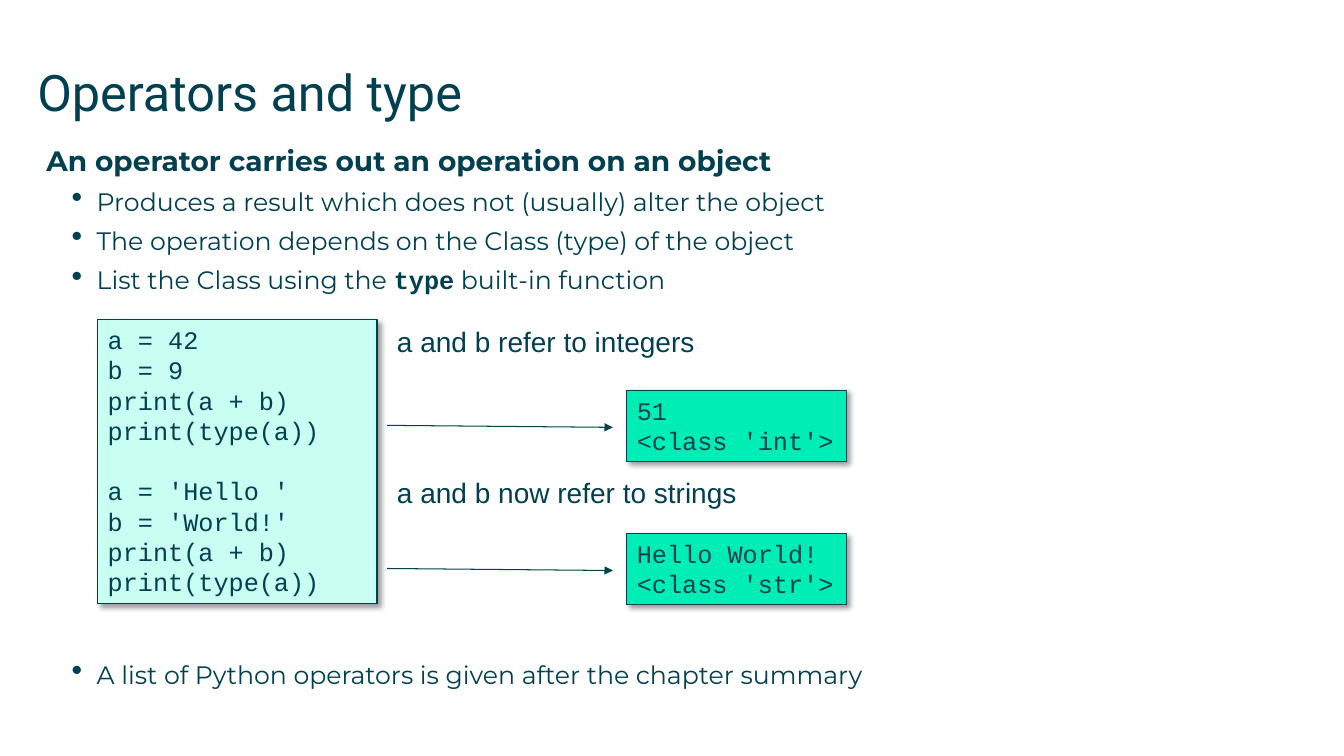
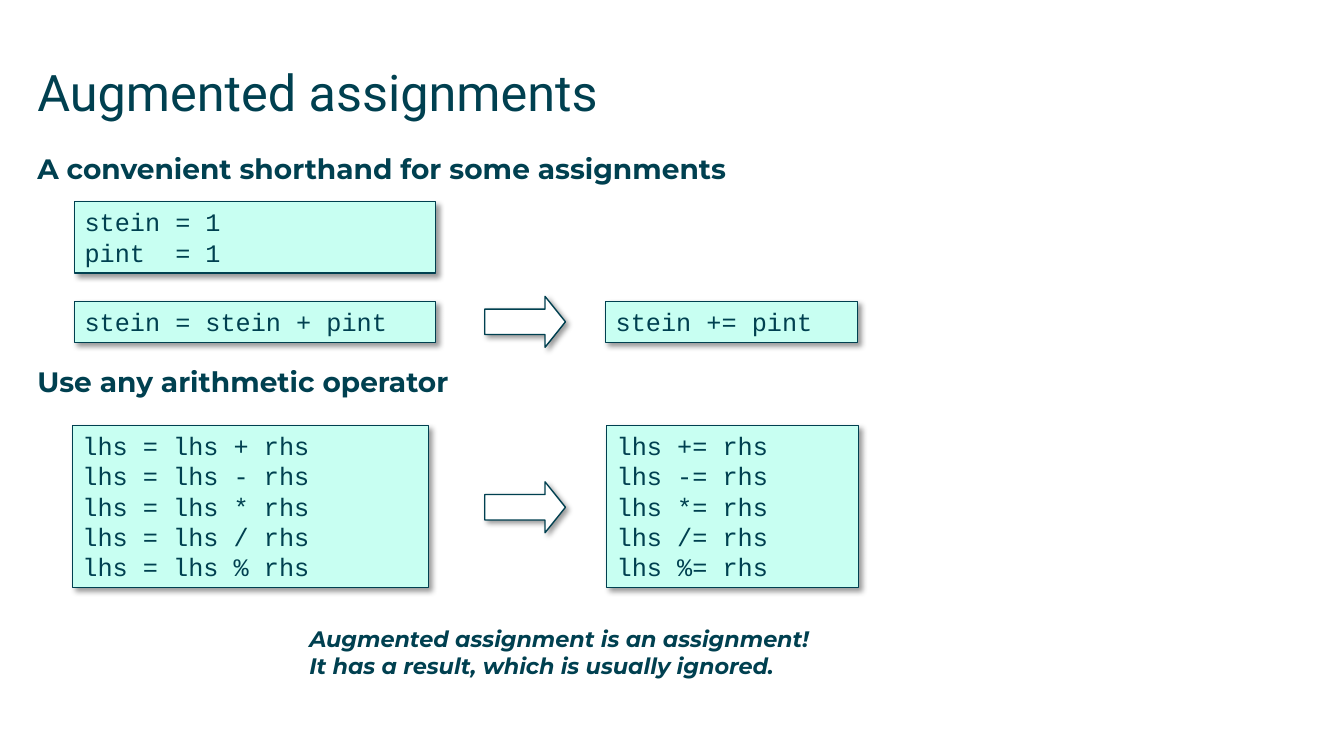
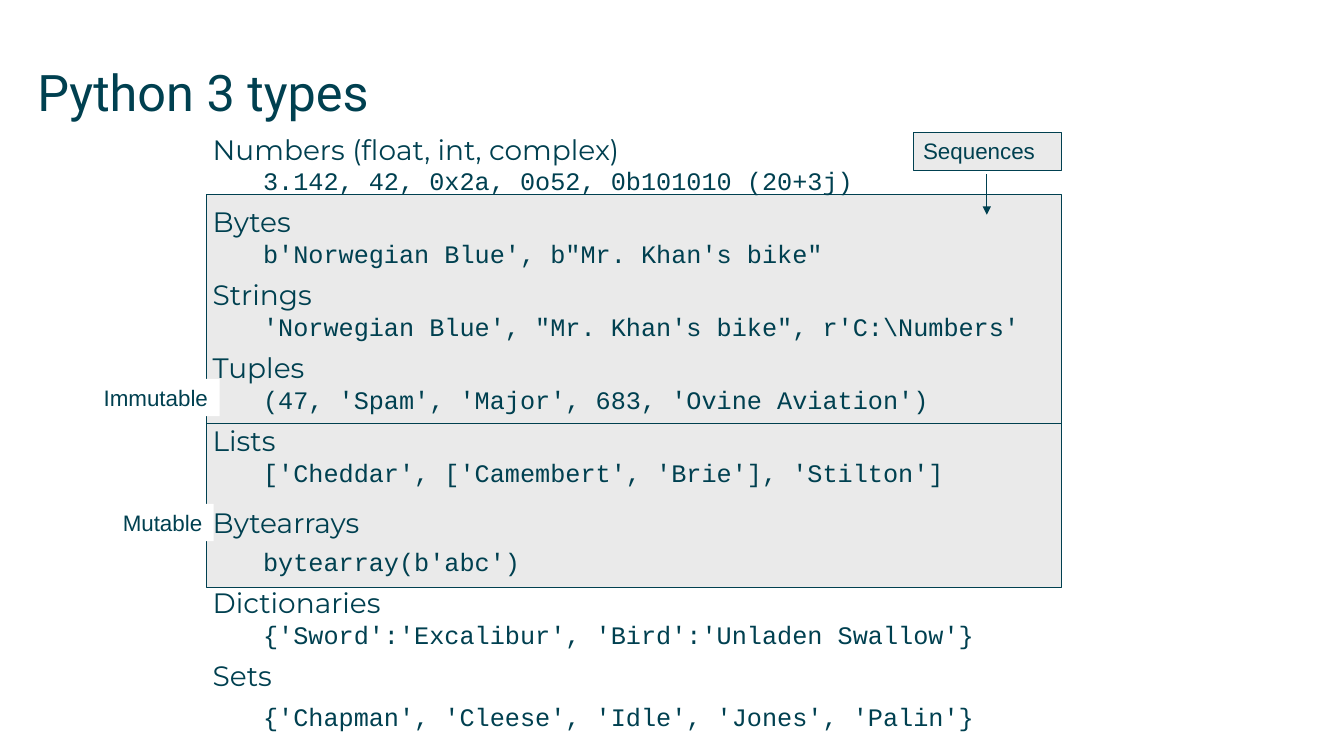
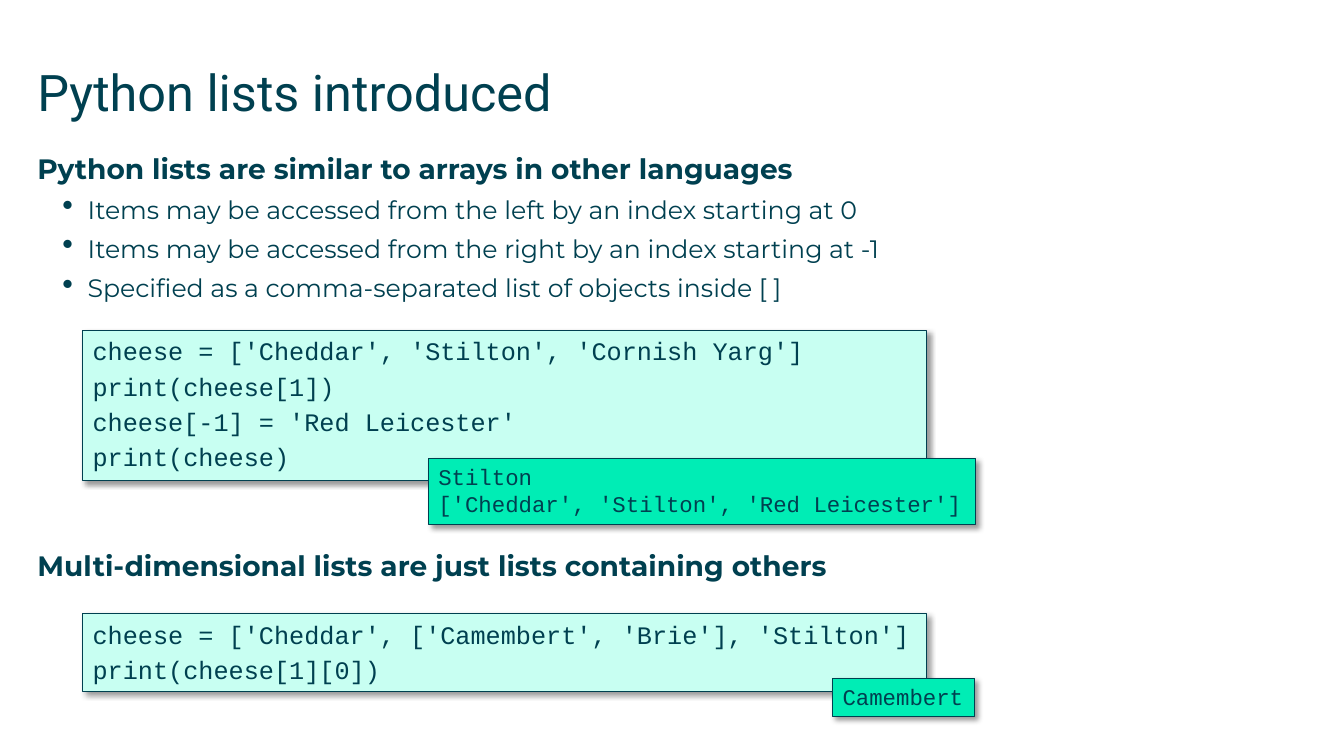
from dataclasses import dataclass
from typing import NamedTuple

from lxml.etree import SubElement as Sub
from pptx import Presentation as Deck
from pptx.dml.color import RGBColor as Rgb
from pptx.enum.shapes import MSO_CONNECTOR as Conn, MSO_SHAPE as Kind
from pptx.enum.text import MSO_ANCHOR as Anchor, PP_ALIGN as Align
from pptx.oxml.ns import qn
from pptx.util import Inches, Pt

HUES = {
    "ink": "004050",
    "code": "C8FFF2",
    "out": "00EDB5",
    "band": "EAEAEA",
    "white": "FFFFFF",
    "shade": "000000",
}
SANS, MONO, HEAD, PLAIN = "Montserrat", "Courier New", "Roboto", "Arial"
COLS, ROWS = 160, 90
TAB = 6
AFTER = 6.5

deck = Deck()
deck.slide_width, deck.slide_height = Inches(13.333), Inches(7.5)


class Box(NamedTuple):
    col: float
    row: float
    wide: float
    high: float


@dataclass
class Line:
    text: str
    size: float = 18
    font: str = SANS
    bold: bool = False
    slant: bool = False
    before: float = 0
    after: float = 0
    left: float = 0
    dot: bool = False


@dataclass
class Block:
    box: Box
    text: str
    fill: str = "code"
    size: float = 18
    font: str = MONO
    gap: float = 0
    edge: float = 0.75
    shade: bool = True


def across(cols: float) -> int:
    return round(deck.slide_width * cols / COLS)


def down(rows: float) -> int:
    return round(deck.slide_height * rows / ROWS)


def place(box: Box) -> tuple[int, int, int, int]:
    return across(box.col), down(box.row), across(box.wide), down(box.high)


def tint(name: str) -> Rgb:
    return Rgb.from_string(HUES[name])


def write(frame, lines: list[Line], pad: bool = True) -> None:
    frame.word_wrap = True
    frame.vertical_anchor = Anchor.TOP
    frame.margin_left = frame.margin_right = Inches(0.1 if pad else 0)
    frame.margin_top = frame.margin_bottom = Inches(0.05 if pad else 0)
    for i, line in enumerate(lines):
        para = frame.paragraphs[0] if i == 0 else frame.add_paragraph()
        para.alignment = Align.LEFT
        para.space_before = Pt(line.before if i else 0)
        para.space_after = Pt(line.after)
        props = para._p.get_or_add_pPr()
        hang = across(TAB / 2) if line.dot else 0
        props.set("marL", str(across(line.left)))
        props.set("indent", str(-hang))
        if line.dot:
            Sub(props, qn("a:buSzPct")).set("val", "125000")
            Sub(props, qn("a:buChar")).set("char", "•")
        for j, part in enumerate(line.text.split("`")):
            run = para.add_run()
            run.text = part
            font = run.font
            font.name = MONO if j % 2 else line.font
            font.size = Pt(line.size)
            font.bold = line.bold or j % 2 == 1
            font.italic = line.slant
            font.color.rgb = tint("ink")


def label(slide, box: Box, text: str, pad: bool = True, **form) -> None:
    lines = [Line(part, **form) for part in text.split("\n")]
    write(slide.shapes.add_textbox(*place(box)).text_frame, lines, pad)


def start(text: str):
    slide = deck.slides.add_slide(deck.slide_layouts[5])
    title = slide.shapes.title
    title.left, title.top, title.width, title.height = place(Box(4.44, 7.32, 151.2, 10.56))
    write(title.text_frame, [Line(text, 36, HEAD)], False)
    return slide


def body(slide, col: float, row: float, head: str = "", items: tuple[str, ...] = ()) -> None:
    lines = [Line(head, 20, bold=True, after=AFTER)] if head else []
    lines += [Line(item, after=AFTER, left=TAB, dot=True) for item in items]
    frame = slide.shapes.add_textbox(*place(Box(col, row, 113, 5 * len(lines)))).text_frame
    write(frame, lines, False)


def shape(slide, box: Box, fill: str, kind=Kind.RECTANGLE, edge: float = 0.75, shade: bool = False):
    item = slide.shapes.add_shape(kind, *place(box))
    item.shadow.inherit = False
    item.fill.solid()
    item.fill.fore_color.rgb = tint(fill)
    if edge:
        item.line.color.rgb = tint("ink")
        item.line.width = Pt(edge)
    else:
        item.line.fill.background()
    if shade:
        cast = Sub(item._element.spPr.find(qn("a:effectLst")), qn("a:outerShdw"))
        for key, val in {"blurRad": Pt(4), "dist": Pt(3), "dir": 45 * 60000, "algn": "tl", "rotWithShape": 0}.items():
            cast.set(key, str(val))
        hue = Sub(cast, qn("a:srgbClr"))
        hue.set("val", HUES["shade"])
        Sub(hue, qn("a:alpha")).set("val", "40000")
    return item


def draw(slide, block: Block) -> None:
    item = shape(slide, block.box, block.fill, edge=block.edge, shade=block.shade)
    lines = []
    skip = 0.0
    for text in block.text.split("\n"):
        if text:
            lines.append(Line(text, block.size, block.font, before=block.gap + skip))
            skip = 0.0
        else:
            skip += block.size * 1.2
    write(item.text_frame, lines)


def link(slide, col: float, row: float, to_col: float, to_row: float, tip: bool = True) -> None:
    wire = slide.shapes.add_connector(Conn.STRAIGHT, across(col), down(row), across(to_col), down(to_row))
    wire.line.color.rgb = tint("ink")
    wire.line.width = Pt(0.75)
    if tip:
        Sub(wire.line._get_or_add_ln(), qn("a:tailEnd")).set("type", "triangle")
    Sub(wire._element.spPr, qn("a:effectLst"))


def types_text(slide) -> None:
    pairs = (
        ("Numbers (float, int, complex)", "3.142, 42, 0x2a, 0o52, 0b101010 (20+3j)"),
        ("Bytes", "b'Norwegian Blue', b\"Mr. Khan's bike\""),
        ("Strings", "'Norwegian Blue', \"Mr. Khan's bike\", r'C:\\Numbers'"),
        ("Tuples", "(47, 'Spam', 'Major', 683, 'Ovine Aviation')"),
        ("Lists", "['Cheddar', ['Camembert', 'Brie'], 'Stilton']"),
        ("Bytearrays", "bytearray(b'abc')"),
        ("Dictionaries", "{'Sword':'Excalibur', 'Bird':'Unladen Swallow'}"),
        ("Sets", "{'Chapman', 'Cleese', 'Idle', 'Jones', 'Palin'}"),
    )
    lines = []
    for name, code in pairs:
        lift = 0.3 if name == "Bytearrays" else 0
        lines.append(Line(name, 20, before=20 * lift, after=AFTER if name == "Sets" else 0))
        lines.append(Line(code, font=MONO, before=18 * lift, after=AFTER, left=TAB))
    write(slide.shapes.add_textbox(*place(Box(25.32, 15.72, 112.32, 74.28))).text_frame, lines, False)


def operators() -> None:
    slide = start("Operators and type")
    body(slide, 5.52, 17.04, "An operator carries out an operation on an object", (
        "Produces a result which does not (usually) alter the object",
        "The operation depends on the Class (type) of the object",
        "List the Class using the `type` built-in function",
    ))
    body(slide, 5.52, 78.48, items=("A list of Python operators is given after the chapter summary",))
    code = (
        "a = 42\nb = 9\nprint(a + b)\nprint(type(a))\n\n"
        "a = 'Hello '\nb = 'World!'\nprint(a + b)\nprint(type(a))"
    )
    draw(slide, Block(Box(11.64, 38.04, 33.24, 33.84), code, edge=1))
    cases = (
        ("a and b refer to integers", "51\n<class 'int'>"),
        ("a and b now refer to strings", "Hello World!\n<class 'str'>"),
    )
    for i, (text, out) in enumerate(cases):
        step = 17.04 * i
        label(slide, Box(46.08, 38.04 + 18 * i, 45.36, 5.2), text, size=20, font=PLAIN)
        draw(slide, Block(Box(74.64, 46.44 + step, 26.16, 8.52), out, "out"))
        link(slide, 46.08, 50.64 + step, 72.96, 50.88 + step)


def augmented() -> None:
    slide = start("Augmented assignments")
    body(slide, 4.44, 18, "A convenient shorthand for some assignments")
    body(slide, 4.44, 43.44, "Use any arithmetic operator")
    signs = "+-*/%"
    blocks = (
        (Box(8.88, 24, 42.96, 8.52), "stein = 1\npint  = 1"),
        (Box(8.88, 35.88, 42.96, 4.92), "stein = stein + pint"),
        (Box(72.12, 35.88, 30, 4.92), "stein += pint"),
        (Box(8.64, 50.64, 42.36, 19.32), "\n".join(f"lhs = lhs {s} rhs" for s in signs)),
        (Box(72.24, 50.64, 30, 19.32), "\n".join(f"lhs {s}= rhs" for s in signs)),
    )
    for box, code in blocks:
        draw(slide, Block(box, code, edge=1))
    for row in (35.28, 57.36):
        arrow = shape(slide, Box(57.72, row, 9.6, 6.06), "white", Kind.RIGHT_ARROW, 1, True)
        arrow.adjustments[0], arrow.adjustments[1] = 0.5, 0.4
    note = "Augmented assignment is an assignment!\nIt has a result, which is usually ignored."
    label(slide, Box(35.64, 73.8, 63.6, 7.68), note, size=16, bold=True, slant=True)


def types() -> None:
    slide = start("Python 3 types")
    band = Box(24.6, 23.16, 101.76, 46.8)
    shape(slide, band, "band")
    tag = {"size": 16, "font": PLAIN, "shade": False}
    draw(slide, Block(Box(108.72, 15.72, 17.64, 4.56), "Sequences", "band", **tag))
    link(slide, 117.48, 20.76, 117.48, 25.56)
    types_text(slide)
    draw(slide, Block(Box(11.16, 45.12, 15, 4.44), "Immutable", "white", edge=0, **tag))
    link(slide, band.col, 50.4, band.col + band.wide, 50.4, False)
    draw(slide, Block(Box(13.44, 60, 12, 4.44), "Mutable", "white", edge=0, **tag))


def lists() -> None:
    slide = start("Python lists introduced")
    body(slide, 4.44, 18, "Python lists are similar to arrays in other languages", (
        "Items may be accessed from the left by an index starting at 0",
        "Items may be accessed from the right by an index starting at -1",
        "Specified as a comma-separated list of objects inside [ ]",
    ))
    body(slide, 4.44, 65.28, "Multi-dimensional lists are just lists containing others")
    first = (
        "cheese = ['Cheddar', 'Stilton', 'Cornish Yarg']\nprint(cheese[1])\n"
        "cheese[-1] = 'Red Leicester'\nprint(cheese)"
    )
    nested = "cheese = ['Cheddar', ['Camembert', 'Brie'], 'Stilton']\nprint(cheese[1][0])"
    reply = "Stilton\n['Cheddar', 'Stilton', 'Red Leicester']"
    for block in (
        Block(Box(9.84, 39.36, 100.44, 17.88), first, gap=3.6),
        Block(Box(51, 54.6, 65.16, 7.8), reply, "out", 16),
        Block(Box(9.84, 73.08, 100.44, 9.24), nested, gap=3.6),
        Block(Box(99.12, 80.76, 16.92, 4.56), "Camembert", "out", 16),
    ):
        draw(slide, block)


def main() -> None:
    for make in (operators, augmented, types, lists):
        make()
    deck.save("out.pptx")


if __name__ == "__main__":
    main()
